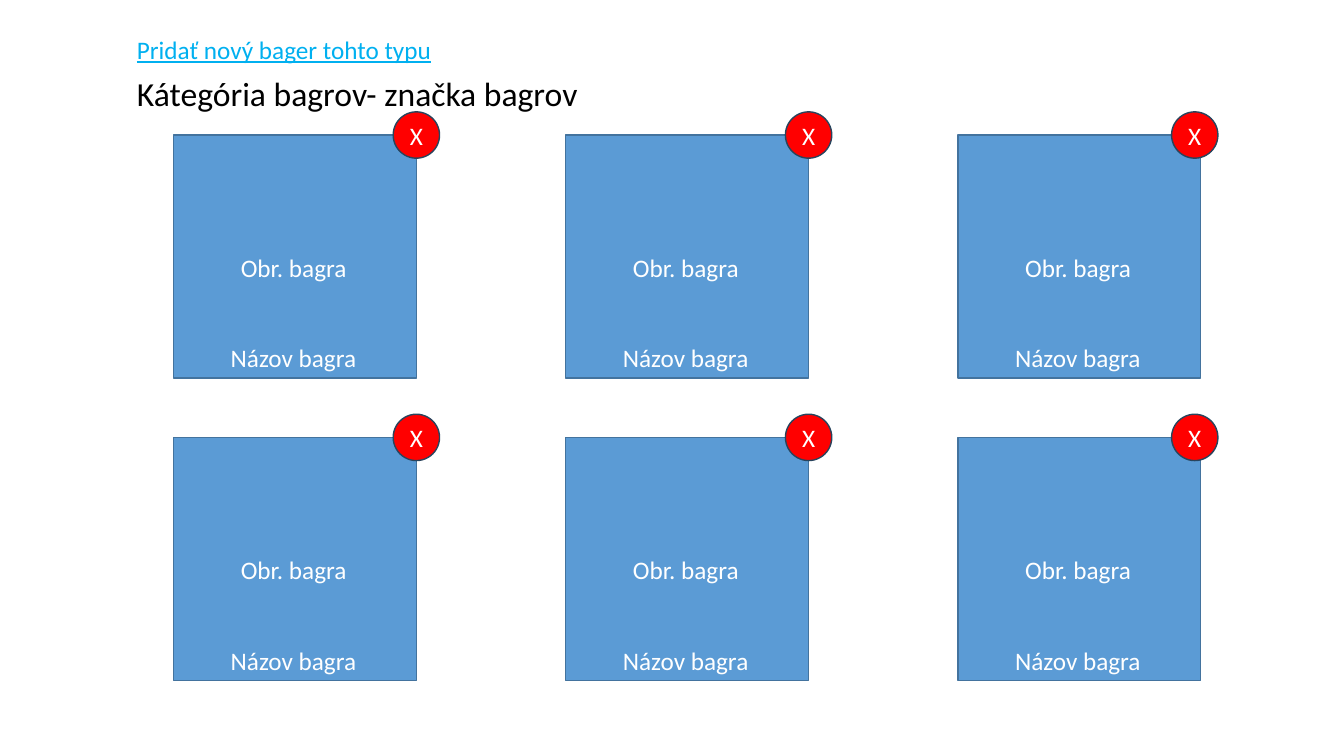
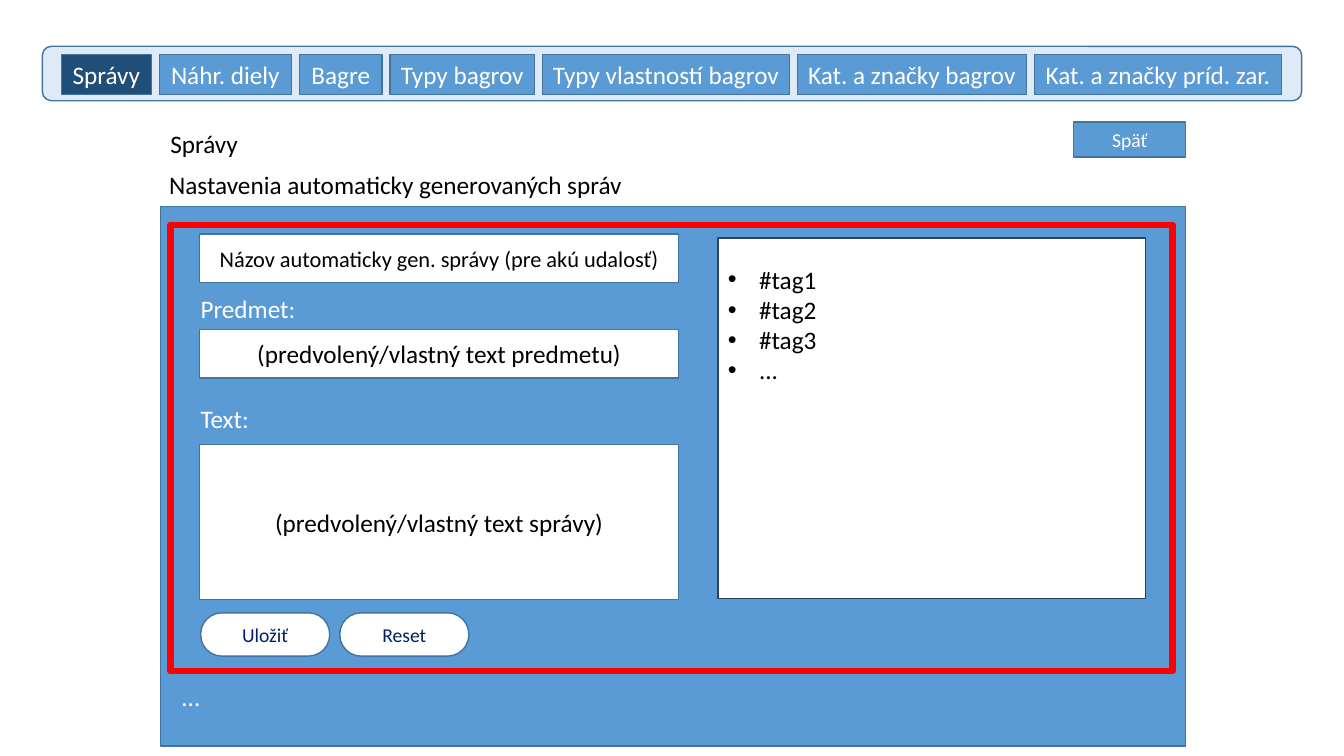
from lxml import etree
from pptx import Presentation
from pptx.dml.color import RGBColor
from pptx.enum.shapes import MSO_SHAPE
from pptx.enum.text import MSO_ANCHOR, MSO_AUTO_SIZE, PP_ALIGN
from pptx.oxml.ns import qn
from pptx.util import Inches, Pt

RECT, OVAL, ROUND = MSO_SHAPE.RECTANGLE, MSO_SHAPE.OVAL, MSO_SHAPE.ROUNDED_RECTANGLE
TOP, MIDDLE = MSO_ANCHOR.TOP, MSO_ANCHOR.MIDDLE
LEFT, CENTER = PP_ALIGN.LEFT, PP_ALIGN.CENTER
GROW = MSO_AUTO_SIZE.SHAPE_TO_FIT_TEXT

FONT = "Calibri"
COLORS = {
    "blue": "5B9BD5", "edge": "43739E", "dark": "28445D", "active": "1F4E79",
    "pale": "DEEBF7", "navy": "002060", "link": "00B0F0", "red": "FF0000",
    "white": "FFFFFF", "black": "000000",
}

# Slide 1 content: gallery of cards
LINK = "Pridať nový bager tohto typu"
TITLE = "Kátegória bagrov- značka bagrov"
CARD, ROWS = 2.41, 2
CARD_X, CARD_Y, STEP_X, STEP_Y = 1.72, 1.34, 3.89, 3
CROSS, CROSS_X = 0.46, (3.9, 7.79, 11.62)
# text, offset in card, width
CAPTIONS = [("Obr. bagra", 0.57, 1.11, 1.26), ("Názov bagra", 0.47, 2.01, 1.46)]

# Slide 2 content: menu and message form
TABS = [
    ("Správy", 0.89), ("Náhr. diely", 1.31), ("Bagre", 0.82),
    ("Typy bagrov", 1.43), ("Typy vlastností bagrov", 2.45),
    ("Kat. a značky bagrov", 2.27), ("Kat. a značky príd. zar.", 2.45),
]
TAB_X, TAB_Y, TAB_H, TAB_GAP = 0.61, 0.54, 0.4, 0.08
FIELDS = [
    ("Názov automaticky gen. správy (pre akú udalosť)", 2.32, 0.48, 16),
    ("(predvolený/vlastný text predmetu)", 3.27, 0.48, 18),
    ("(predvolený/vlastný text správy)", 4.41, 1.54, 18),
]
LABELS = [
    ("Správy", 1.59, 1.22, 0.88, "black"),
    ("Nastavenia automaticky generovaných správ", 1.58, 1.63, 4.74, "black"),
    ("Predmet:", 1.89, 2.86, 1.15, "white"),
    ("Text:", 1.89, 3.95, 0.69, "white"),
    ("...", 1.7, 6.71, 0.39, "white"),
]
BUTTONS = [("Uložiť", 1.99), ("Reset", 3.37)]
TAGS = ["#tag1", "#tag2", "#tag3", "..."]


def rgb(name):
    return RGBColor.from_string(COLORS[name])


def style(para, size, color, align=LEFT):
    para.alignment = align
    para.font.name, para.font.size = FONT, Pt(size)
    para.font.color.rgb = rgb(color)


def box(slide, at, fill="blue", text="", size=18, color="white",
        kind=RECT, line="edge", weight=1):
    shape = slide.shapes.add_shape(kind, *map(Inches, at))
    shape.shadow.inherit = False
    if fill:
        shape.fill.solid()
        shape.fill.fore_color.rgb = rgb(fill)
    else:
        shape.fill.background()
    shape.line.color.rgb = rgb(line)
    shape.line.width = Pt(weight)
    if text:
        frame = shape.text_frame
        frame.word_wrap = False
        frame.vertical_anchor = MIDDLE
        frame.text = text
        style(frame.paragraphs[0], size, color, CENTER)
    return shape


def label(slide, text, x, y, width, color="white", size=18, height=0.4):
    frame = slide.shapes.add_textbox(*map(Inches, (x, y, width, height))).text_frame
    frame.word_wrap = False
    frame.auto_size = GROW
    frame.text = text
    para = frame.paragraphs[0]
    style(para, size, color)
    return para


def bullet(para):
    props = para._p.get_or_add_pPr()
    props.set("marL", str(Inches(0.31)))
    props.set("indent", str(-Inches(0.31)))
    etree.SubElement(props, qn("a:buFont")).set("typeface", "Arial")
    etree.SubElement(props, qn("a:buChar")).set("char", "•")


def gallery(slide):
    # Cards with captions and delete marks
    for row in range(ROWS):
        y = CARD_Y + row * STEP_Y
        for col, cross in enumerate(CROSS_X):
            x = CARD_X + col * STEP_X
            box(slide, (x, y, CARD, CARD))
            for text, dx, dy, width in CAPTIONS:
                label(slide, text, x + dx, y + dy, width)
            box(slide, (cross, y - CROSS / 2, CROSS, CROSS), "red", "X",
                kind=OVAL, line="dark")
    # Headings
    label(slide, TITLE, 1.26, 0.67, 4.62, "black", 24, 0.5)
    label(slide, LINK, 1.26, 0.29, 3.15, "link").font.underline = True


def form(slide):
    # Panel, fields and buttons
    box(slide, (1.59, 2.05, 10.17, 5.35))
    box(slide, (10.65, 1.21, 1.11, 0.35), text="Späť", size=14)
    for text, y, height, size in FIELDS:
        box(slide, (1.98, y, 4.75, height), "white", text, size, "black")
    for text, x in BUTTONS:
        button = box(slide, (x, 6.08, 1.28, 0.43), "white", text, 14, "navy", ROUND)
        button.adjustments[0] = 0.49
    box(slide, (1.69, 2.23, 9.94, 4.43), None, line="red", weight=4.5)
    for item in LABELS:
        label(slide, *item)

    # Tag list
    frame = box(slide, (7.12, 2.36, 4.24, 3.58), "white", line="dark").text_frame
    frame.vertical_anchor = TOP
    frame.margin_top = Inches(0.26)
    frame.text = "\n".join(TAGS)
    for para in frame.paragraphs:
        bullet(para)
        style(para, 18, "black")

    # Menu, first tab active
    box(slide, (0.42, 0.46, 12.49, 0.54), "pale", kind=ROUND)
    x = TAB_X
    for i, (text, width) in enumerate(TABS):
        box(slide, (x, TAB_Y, width, TAB_H), "blue" if i else "active", text)
        x += width + TAB_GAP


def main():
    deck = Presentation()
    deck.slide_width, deck.slide_height = Inches(13.33), Inches(7.5)
    for build in (gallery, form):
        build(deck.slides.add_slide(deck.slide_layouts[6]))
    deck.save("out.pptx")


if __name__ == "__main__":
    main()
